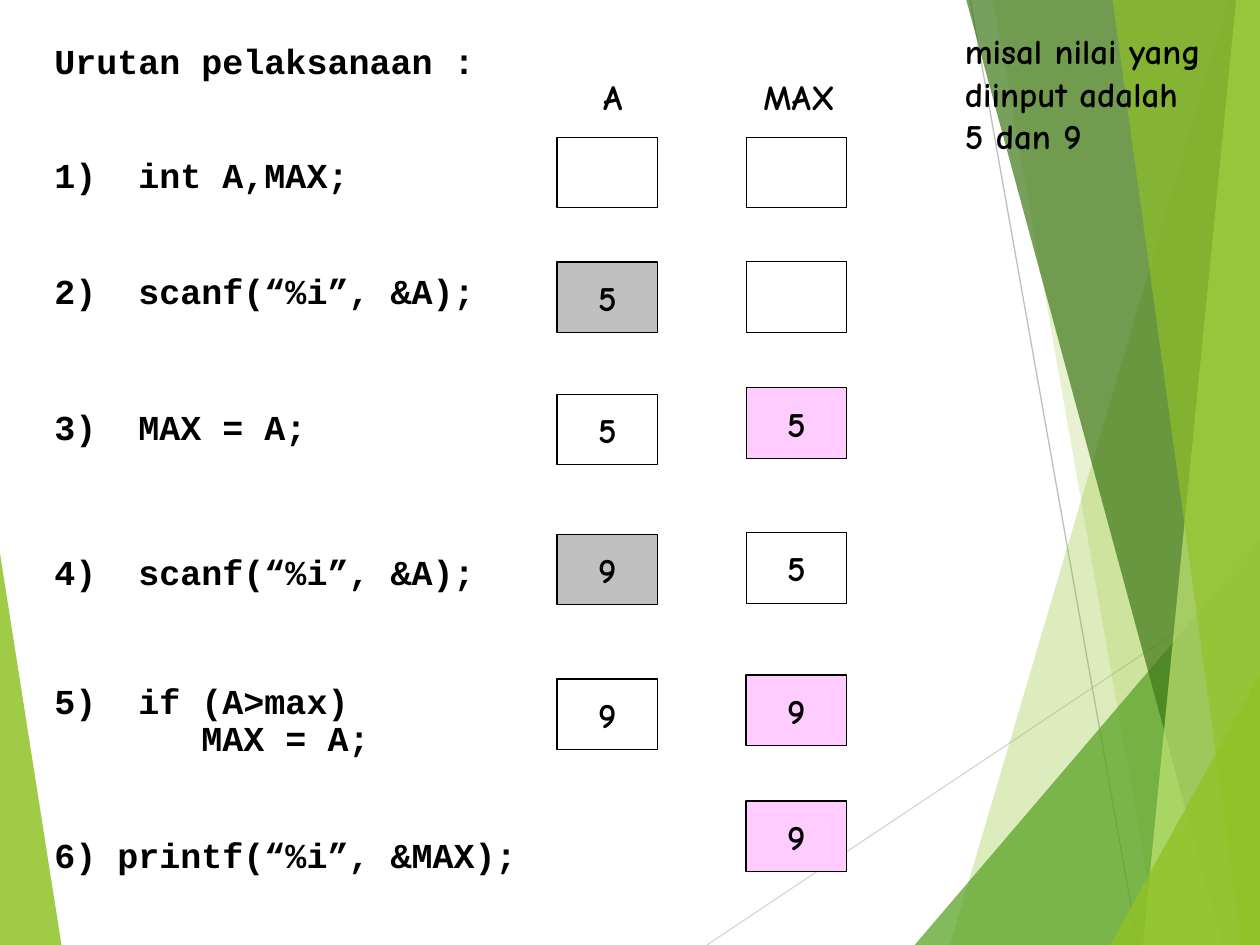
import lxml.etree
import pptx
import pptx.dml.color
import pptx.enum.shapes
import pptx.enum.text
import pptx.oxml.ns
import pptx.util

Cm = pptx.util.Cm
Pt = pptx.util.Pt
qn = pptx.oxml.ns.qn
PP_ALIGN = pptx.enum.text.PP_ALIGN
MSO_ANCHOR = pptx.enum.text.MSO_ANCHOR
MSO_AUTO_SIZE = pptx.enum.text.MSO_AUTO_SIZE

WIDTH, HEIGHT = 25.4, 19.05
CODE_FONT, HAND_FONT = "Courier New", "Comic Neue"
COLORS = {
    "ink": "000000",
    "lime": "90C226",
    "pale": "C0E474",
    "green": "54A021",
    "forest": "3F7819",
    "light_grey": "D9D9D9",
    "mid_grey": "BFBFBF",
    "read": "C0C0C0",
    "assigned": "FFCCFF",
}

# Each decorative line: start, end, colour.
RAYS = [
    ((14.25, HEIGHT), (WIDTH, 11.61), "light_grey"),
    ((19.56, 0), (22.94, HEIGHT), "mid_grey"),
]


def band(top_x, bottom_x):
    """Outline from a slanted left side to the right slide edge."""
    return [(top_x, 0), (bottom_x, HEIGHT), (WIDTH, HEIGHT), (WIDTH, 0)]


def corner(edge_x, edge_y, bottom_x):
    """Triangle in the bottom corner at edge_x."""
    return [(edge_x, edge_y), (bottom_x, HEIGHT), (edge_x, HEIGHT)]


# Each facet: outline, colour, opacity in percent; back to front.
LEFT_FACET = (corner(0, 11.15, 1.24), "lime", 85)
RIGHT_FACETS = [
    (band(24.77, 19.15), "lime", 30),
    (band(20.02, 23.37), "lime", 20),
    (corner(WIDTH, 10.9, 18.44), "green", 72),
    (band(19.48, 24.64), "forest", 70),
    (band(24.92, 23.04), "pale", 70),
    (band(22.43, 25.04), "lime", 65),
    (corner(WIDTH, 13.59, 22.38), "lime", 80),
]

# Each step: code line, points of space before it.
STEPS = [
    ("1)  int A,MAX;", 0),
    ("2)  scanf(“%i”, &A);", 45),
    ("3)  MAX = A;", 56),
    ("4)  scanf(“%i”, &A);", 61),
    ("5)  if (A>max)", 52),
    ("       MAX = A;", 0),
    ("6) printf(“%i”, &MAX);", 45),
]

# Each variable: left edge of its cells, then (top, value, fill, line width).
MEMORY = [
    (11.23, [
        (2.77, "", None, 0.75),
        (5.28, "5", "read", 0.75),
        (7.95, "5", None, 0.75),
        (10.77, "9", "read", 0.75),
        (13.69, "9", None, 0.75),
    ]),
    (15.04, [
        (2.77, "", None, 0.5),
        (5.28, "", None, 0.5),
        (7.82, "5", "assigned", 0.5),
        (10.74, "5", None, 0.5),
        (13.61, "9", "assigned", 0.75),
        (16.15, "9", "assigned", 0.75),
    ]),
]


def rgb(name):
    return pptx.dml.color.RGBColor.from_string(COLORS[name])


class SlideBuilder:
    def __init__(self, slide, text_size=20):
        self.slide = slide
        self.text_size = text_size

    def style(self, frame, font, align=PP_ALIGN.LEFT):
        for paragraph in frame.paragraphs:
            paragraph.alignment = align
            for run in paragraph.runs:
                run.font.name = font
                run.font.size = Pt(self.text_size)
                run.font.bold = True
                run.font.color.rgb = rgb("ink")

    def facet(self, outline, color, opacity):
        points = [(Cm(x), Cm(y)) for x, y in outline]
        builder = self.slide.shapes.build_freeform(*points[0], scale=1.0)
        builder.add_line_segments(points[1:], close=True)
        shape = builder.convert_to_shape()
        shape.shadow.inherit = False
        shape.line.fill.background()
        shape.fill.solid()
        shape.fill.fore_color.rgb = rgb(color)
        fill_color = shape.element.find(".//" + qn("a:srgbClr"))
        lxml.etree.SubElement(fill_color, qn("a:alpha"), val=str(opacity * 1000))

    def ray(self, start, end, color):
        line = self.slide.shapes.add_connector(
            pptx.enum.shapes.MSO_CONNECTOR.STRAIGHT,
            *(Cm(value) for value in start + end))
        line.line.color.rgb = rgb(color)
        line.line.width = Pt(0.75)
        lxml.etree.SubElement(line.element.spPr, qn("a:effectLst"))

    def placeholder(self, index, text, left, top, width, height):
        """Fill and move a placeholder, bringing it in front of earlier shapes."""
        holder = self.slide.placeholders[index]
        holder.element.getparent().append(holder.element)
        holder.left, holder.top = Cm(left), Cm(top)
        holder.width, holder.height = Cm(width), Cm(height)
        frame = holder.text_frame
        frame.text = text
        frame.word_wrap = True
        frame.auto_size = MSO_AUTO_SIZE.NONE
        frame.vertical_anchor = MSO_ANCHOR.TOP
        for paragraph in frame.paragraphs:
            paragraph.line_spacing = 0.9
            paragraph.space_before = Pt(0)
        self.style(frame, CODE_FONT)
        return frame

    def code_list(self, steps, *box):
        frame = self.placeholder(1, "\n".join(code for code, _ in steps), *box)
        for paragraph, (_, gap) in zip(frame.paragraphs, steps):
            paragraph.space_before = Pt(gap)
            properties = paragraph._p.get_or_add_pPr()
            properties.set("marL", "0")
            properties.set("indent", "0")
            lxml.etree.SubElement(properties, qn("a:buNone"))

    def label(self, text, left, top, width, height):
        box = self.slide.shapes.add_textbox(Cm(left), Cm(top), Cm(width), Cm(height))
        box.text_frame.text = text
        box.text_frame.word_wrap = False
        self.style(box.text_frame, HAND_FONT)

    def cell(self, left, top, value, fill, line_width):
        cell = self.slide.shapes.add_shape(
            pptx.enum.shapes.MSO_SHAPE.RECTANGLE,
            Cm(left), Cm(top), Cm(2.03), Cm(1.42))
        cell.shadow.inherit = False
        cell.line.color.rgb = rgb("ink")
        cell.line.width = Pt(line_width)
        if fill:
            cell.fill.solid()
            cell.fill.fore_color.rgb = rgb(fill)
        else:
            cell.fill.background()
        if value:
            cell.text_frame.text = value
            cell.text_frame.word_wrap = False
            cell.text_frame.vertical_anchor = MSO_ANCHOR.MIDDLE
            self.style(cell.text_frame, HAND_FONT, PP_ALIGN.CENTER)


def main():
    deck = pptx.Presentation()
    deck.slide_width, deck.slide_height = Cm(WIDTH), Cm(HEIGHT)
    page = SlideBuilder(deck.slides.add_slide(deck.slide_layouts[1]))

    page.facet(*LEFT_FACET)
    for ray in RAYS:
        page.ray(*ray)
    for facet in RIGHT_FACETS:
        page.facet(*facet)

    page.placeholder(0, "Urutan pelaksanaan :", 0.84, 0.76, 10.26, 1.2)
    page.code_list(STEPS, 0.84, 3.06, 10.26, 14.47)

    page.label("A", 11.91, 1.4, 0.89, 1.12)
    page.label("MAX", 15.14, 1.4, 1.96, 1.12)
    for left, cells in MEMORY:
        for cell in cells:
            page.cell(left, *cell)
    page.label("misal nilai yang\ndiinput adalah\n5 dan 9", 19.2, 0.48, 5.28, 2.79)

    deck.save("out.pptx")


if __name__ == "__main__":
    main()
